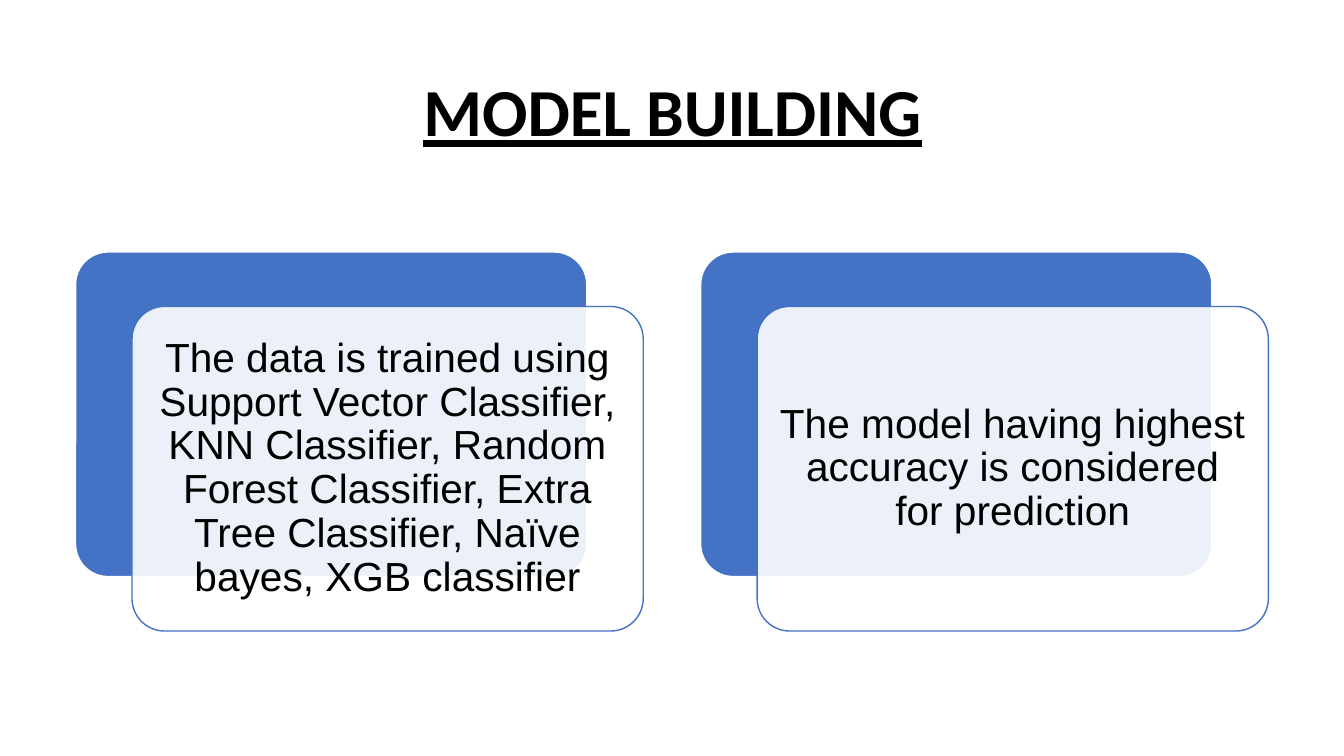
"""Build the model building slide with two layered cards."""
from lxml import etree
from pptx import Presentation
from pptx.dml.color import RGBColor
from pptx.enum.shapes import MSO_SHAPE
from pptx.enum.text import MSO_ANCHOR, PP_ALIGN
from pptx.oxml.ns import qn
from pptx.util import Inches, Pt

BLUE, WHITE, BLACK = "4472C4", "FFFFFF", "000000"
CARD_WIDTH, CARD_HEIGHT = 5.07, 3.22
FIRST_LEFT, CARD_TOP, COLUMN_STEP = 0.75, 2.5, 6.2
SHIFT_X, SHIFT_Y, TEXT_INSET = 0.56, 0.54, 0.095


def add_card(page, left, top, fill, line):
    """Add one rounded card and return it."""
    card = page.shapes.add_shape(
        MSO_SHAPE.ROUNDED_RECTANGLE,
        Inches(left), Inches(top), Inches(CARD_WIDTH), Inches(CARD_HEIGHT),
    )
    card.adjustments[0] = 0.1
    card.shadow.inherit = False
    card.fill.solid()
    card.fill.fore_color.rgb = RGBColor.from_string(fill)
    card.line.color.rgb = RGBColor.from_string(line)
    card.line.width = Pt(1)
    return card


def add_text(page, left, top, width, height, text, font, size):
    """Add a centred text box and return it with its paragraph."""
    box = page.shapes.add_textbox(
        Inches(left), Inches(top), Inches(width), Inches(height)
    )
    box.text_frame.word_wrap = True
    box.text_frame.text = text
    para = box.text_frame.paragraphs[0]
    para.alignment = PP_ALIGN.CENTER
    span = para.runs[0]
    span.font.name = font
    span.font.size = Pt(size)
    span.font.color.rgb = RGBColor.from_string(BLACK)
    return box, para


deck = Presentation()
deck.slide_width, deck.slide_height = Inches(13.33), Inches(7.5)
page = deck.slides.add_slide(deck.slide_layouts[6])

statements = [
    "The data is trained using Support Vector Classifier, KNN Classifier, "
    "Random Forest Classifier, Extra Tree Classifier, Naïve bayes, XGB classifier",
    "The model having highest accuracy is considered for prediction",
]

for column, statement in enumerate(statements):
    left = FIRST_LEFT + column * COLUMN_STEP
    front_left, front_top = left + SHIFT_X, CARD_TOP + SHIFT_Y
    add_card(page, left, CARD_TOP, BLUE, WHITE)
    front = add_card(page, front_left, front_top, WHITE, BLUE)
    color = front.fill._xPr.find(qn("a:solidFill")).find(qn("a:srgbClr"))
    etree.SubElement(color, qn("a:alpha"), val="90000")

    box, para = add_text(
        page, front_left + TEXT_INSET, front_top + TEXT_INSET,
        CARD_WIDTH - 2 * TEXT_INSET, CARD_HEIGHT - 2 * TEXT_INSET,
        statement, "Arial", 29,
    )
    para.line_spacing = 0.9
    frame = box.text_frame
    frame.vertical_anchor = MSO_ANCHOR.MIDDLE
    frame.margin_left = frame.margin_right = Inches(0.12)
    frame.margin_top = frame.margin_bottom = Inches(0.12)

title, para = add_text(page, 2.61, 0.64, 8.12, 0.91, "MODEL BUILDING", "Calibri", 48)
para.runs[0].font.bold = True
para.runs[0].font.underline = True

deck.save("out.pptx")
